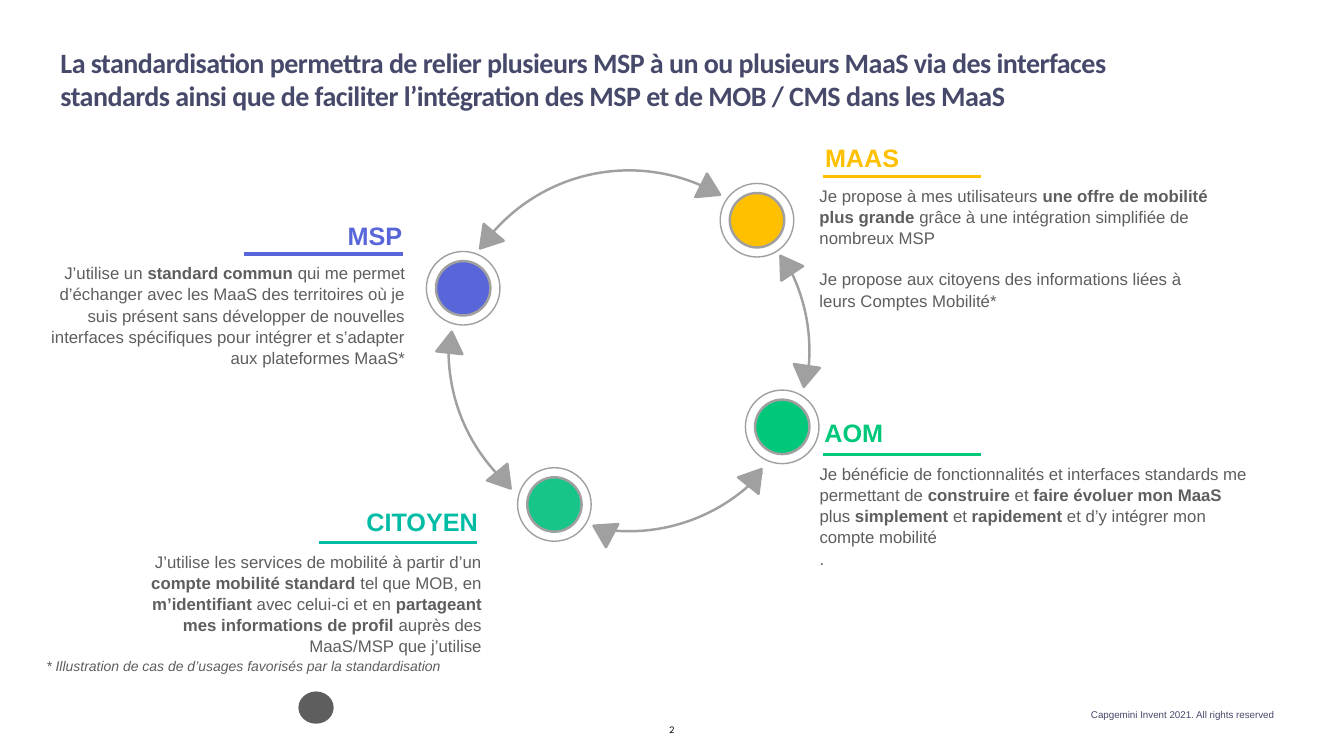
from dataclasses import dataclass
from typing import Optional

from lxml.etree import SubElement
from pptx import Presentation
from pptx.dml.color import RGBColor
from pptx.enum.shapes import MSO_CONNECTOR as Link, MSO_SHAPE as Shape
from pptx.enum.text import MSO_ANCHOR as Anchor, MSO_AUTO_SIZE as Fit, PP_ALIGN as Align
from pptx.oxml.ns import qn
from pptx.util import Emu, Inches, Pt

COLS, ROWS = 160, 90
GRAY, INK, NAVY = "A0A0A0", "5E5E5E", "46496A"

deck = Presentation()
deck.slide_width, deck.slide_height = Inches(13.33), Inches(7.5)
slide = deck.slides.add_slide(deck.slide_layouts[5])
shapes = slide.shapes


@dataclass
class Box:
    x: float
    y: float
    w: float
    h: float

    def emu(self) -> tuple[Emu, Emu, Emu, Emu]:
        col, row = deck.slide_width / COLS, deck.slide_height / ROWS
        return Emu(int(self.x * col)), Emu(int(self.y * row)), Emu(int(self.w * col)), Emu(int(self.h * row))


@dataclass
class Style:
    size: float = 12
    color: str = INK
    font: str = "Arial"
    bold: bool = False
    slant: bool = False
    align: Align = Align.LEFT
    anchor: Anchor = Anchor.TOP
    pad: tuple[float, float] = (0.06, 0.06)
    wrap: bool = True
    lead: float = 1.0
    track: Optional[int] = None


@dataclass
class Role:
    name: str
    color: str
    disc: tuple[float, float]
    head: Box
    rule: tuple[float, float]
    body: Box
    align: Align
    text: list[str]


@dataclass
class Tip:
    x: float
    y: float
    turn: float


ROLES = [
    Role("MSP", "5866D9", (55.14, 34.32), Box(40.08, 25.44, 9, 4.8), (29.04, 30.24),
         Box(5.28, 30.48, 43.68, 15.6), Align.RIGHT,
         ["J’utilise un |standard commun |qui me permet d’échanger avec les MaaS des territoires où je "
          "suis présent sans développer de nouvelles interfaces spécifiques pour intégrer et s’adapter "
          "aux plateformes MaaS*"]),
    Role("MAAS", "FFC000", (90.12, 26.22), Box(96.84, 16.2, 11.4, 4.8), (97.92, 21),
         Box(96.84, 21.24, 48.36, 15.84), Align.LEFT,
         ["Je propose à mes utilisateurs |une offre de mobilité plus grande |grâce à une intégration "
          "simplifiée de nombreux MSP",
          "Je propose aux citoyens des informations liées à leurs Comptes Mobilité*"]),
    Role("CITOYEN", "00BCA5", (66, 60.06), Box(42.24, 59.52, 15.84, 4.8), (37.92, 64.56),
         Box(14.4, 64.8, 43.68, 13.44), Align.RIGHT,
         ["J’utilise les services de mobilité à partir d’un |compte mobilité standard |tel que MOB, en "
          "|m’identifiant| avec celui-ci et en |partageant mes informations de profil| auprès des "
          "MaaS/MSP que j’utilise"]),
    Role("AOM", "00C87A", (93.12, 50.82), Box(96.84, 48.96, 9.48, 4.8), (97.92, 54.12),
         Box(96.84, 54.36, 52.44, 13.44), Align.LEFT,
         ["Je bénéficie de fonctionnalités et interfaces standards me permettant de |construire| et "
          "|faire évoluer mon MaaS |plus |simplement| et |rapidement| et d’y intégrer mon compte mobilité",
          "."]),
]
FILLS = {"CITOYEN": "18C589"}

TIPS = [
    Tip(84.6, 22.62, 296.6), Tip(57.96, 28.62, 40.2),
    Tip(53.64, 40.74, 186.4), Tip(60, 57.18, 320.7),
    Tip(71.76, 63.18, 118), Tip(89.88, 56.82, 218.8),
    Tip(93.6, 31.5, 146.3), Tip(95.88, 44.82, 8.3),
]


def paint(code: str) -> RGBColor:
    return RGBColor.from_string(code)


def draw(kind: Shape, x: float, y: float, w: float, h: float, fill: Optional[str] = None,
         line: Optional[str] = None, width: float = 1.75, turn: float = 0) -> None:
    item = shapes.add_shape(kind, *Box(x - w / 2, y - h / 2, w, h).emu())
    item.shadow.inherit = False
    item.rotation = turn
    if fill:
        item.fill.solid()
        item.fill.fore_color.rgb = paint(fill)
    else:
        item.fill.background()
    if line:
        item.line.color.rgb = paint(line)
        item.line.width = Pt(width)
    else:
        item.line.fill.background()


def fill_text(frame, lines: list[str], style: Style, gap: float = 0) -> None:
    frame.auto_size = Fit.NONE
    frame.word_wrap = style.wrap
    frame.vertical_anchor = style.anchor
    frame.margin_left = frame.margin_right = Inches(style.pad[0])
    frame.margin_top = frame.margin_bottom = Inches(style.pad[1])
    for i, line in enumerate(lines):
        para = frame.add_paragraph() if i else frame.paragraphs[0]
        para.alignment = style.align
        para.line_spacing = style.lead
        para.space_before = Pt(gap if i else 0)
        for j, part in enumerate(line.split("|")):
            run = para.add_run()
            run.text = part
            font = run.font
            font.name, font.size = style.font, Pt(style.size)
            font.bold, font.italic = style.bold or j % 2 == 1, style.slant
            font.color.rgb = paint(style.color)
            if style.track:
                run._r.get_or_add_rPr().set("spc", str(style.track))


def write(box: Box, lines: list[str], style: Style, gap: float = 0) -> None:
    fill_text(shapes.add_textbox(*box.emu()).text_frame, lines, style, gap)


def rule(x: float, y: float, color: str) -> None:
    left, top, wide, _ = Box(x, y, 18.9, 0).emu()
    line = shapes.add_connector(Link.STRAIGHT, left, top, left + wide, top)
    line.line.color.rgb = paint(color)
    line.line.width = Pt(2.25)
    SubElement(line._element.spPr, qn("a:effectLst"))


def disc(role: Role) -> None:
    tone = FILLS.get(role.name, role.color)
    for size, fill, line, width in ((11.88, "FFFFFF", None, 0), (8.76, "FFFFFF", GRAY, 1),
                                    (6.48, tone, GRAY, 1.75)):
        draw(Shape.OVAL, *role.disc, size, size, fill, line, width)


def label(role: Role) -> None:
    write(role.head, [role.name], Style(18, role.color, bold=True, align=Align.RIGHT,
                                        pad=(0.1, 0.05), wrap=False, lead=1.05))
    rule(*role.rule, role.color)
    gap = 14.45 if role.name == "MAAS" else 0
    write(role.body, role.text, Style(align=role.align, lead=1.05), gap)


def main() -> None:
    title = shapes.title
    title.left, title.top, title.width, title.height = Box(7.2, 3, 134.16, 11.88).emu()
    fill_text(title.text_frame,
              ["La standardisation permettra de relier plusieurs MSP à un ou plusieurs MaaS via des interfaces "
               "standards ainsi que de faciliter l’intégration des MSP et de MOB / CMS dans les MaaS"],
              Style(20, NAVY, "Calibri", bold=True, pad=(0, 0), track=-40))
    title.text_frame.margin_top = Inches(0.2)

    draw(Shape.OVAL, 74.88, 41.76, 42.96, 42.96, line=GRAY)
    for role in ROLES:
        disc(role)
    for tip in TIPS:
        draw(Shape.FLOWCHART_MERGE, tip.x, tip.y, 3.12, 2.52, GRAY, GRAY, turn=tip.turn)
    for role in ROLES:
        label(role)

    write(Box(4.8, 77.64, 48.6, 3.36), ["* Illustration de cas de d’usages favorisés par la standardisation"],
          Style(10, slant=True, anchor=Anchor.MIDDLE))
    draw(Shape.OVAL, 37.62, 84.24, 4.2, 3.84, INK)
    write(Box(127.92, 83.88, 24.12, 2.52), ["Capgemini Invent 2021. All rights reserved"],
          Style(7, NAVY, align=Align.RIGHT, anchor=Anchor.BOTTOM, pad=(0.03, 0.05)))
    write(Box(78.96, 85.56, 2.76, 2.76), ["2"],
          Style(7, "000000", "League Spartan", anchor=Anchor.BOTTOM, wrap=False))
    deck.save("out.pptx")


if __name__ == "__main__":
    main()
